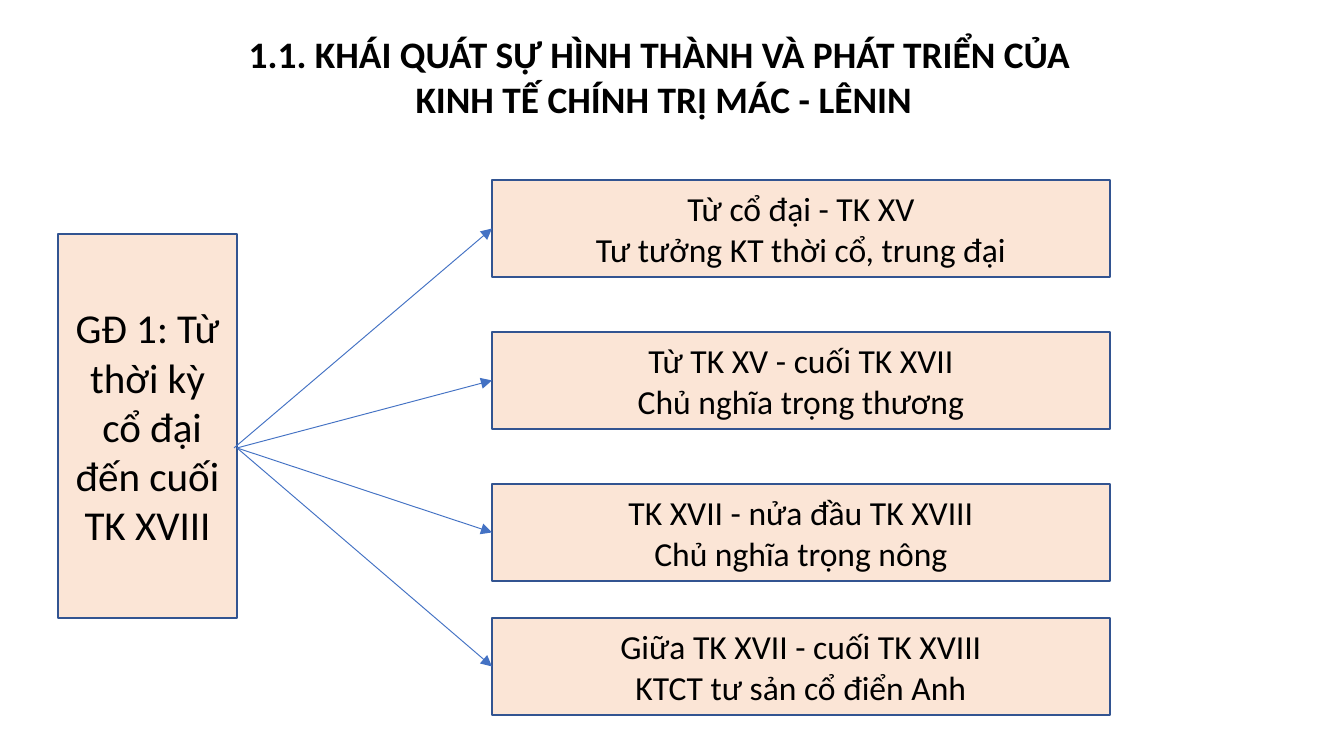
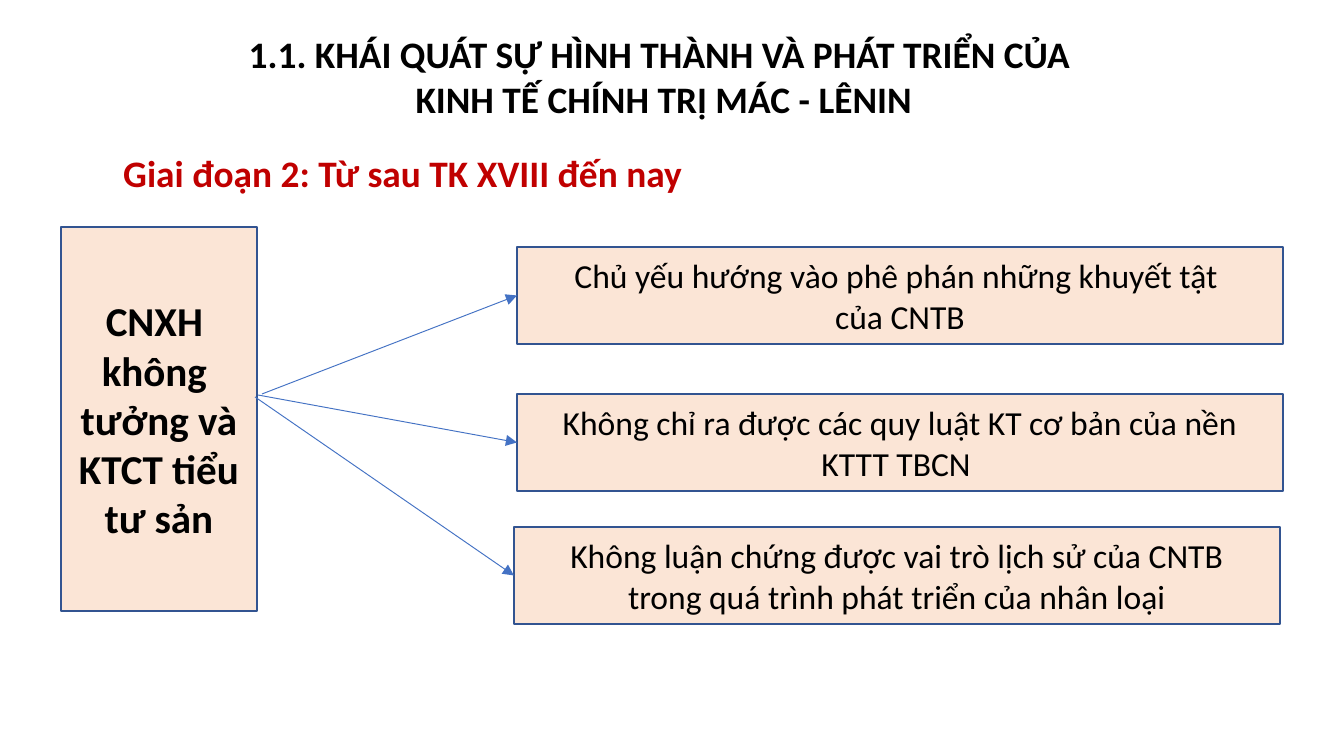
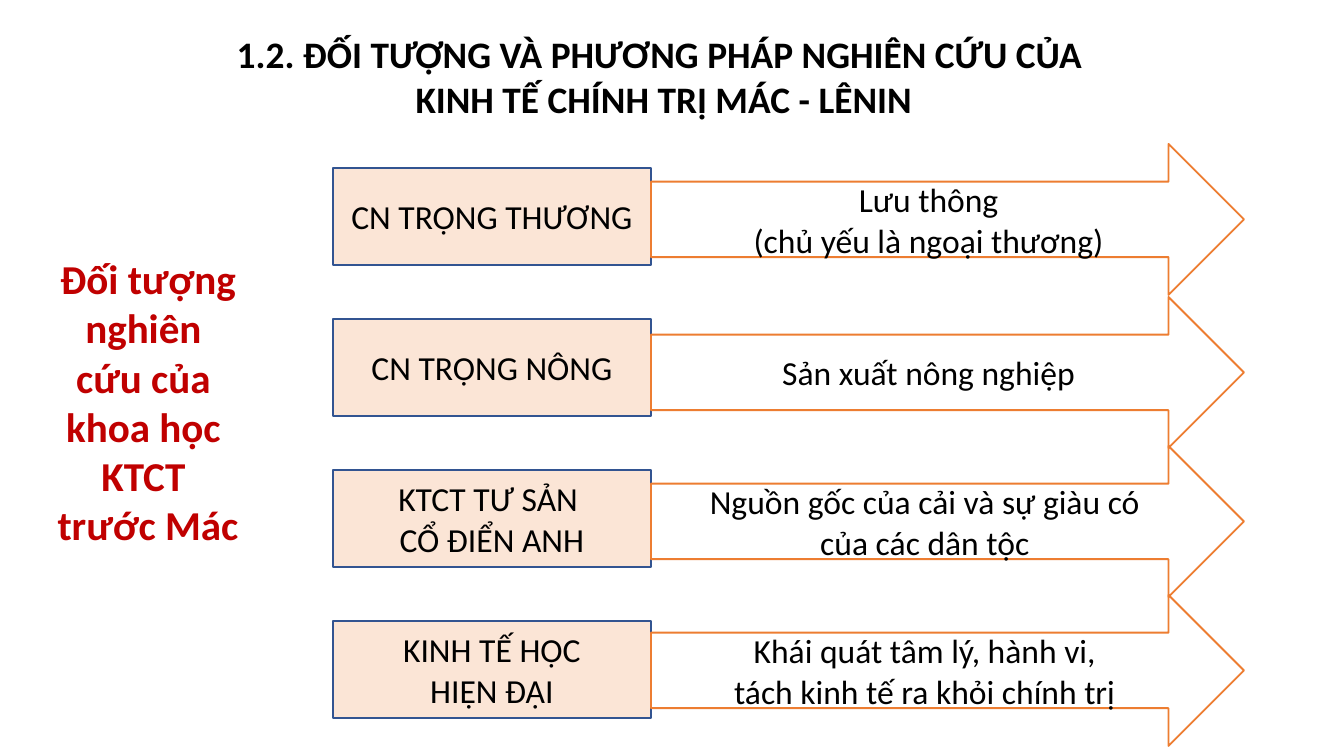
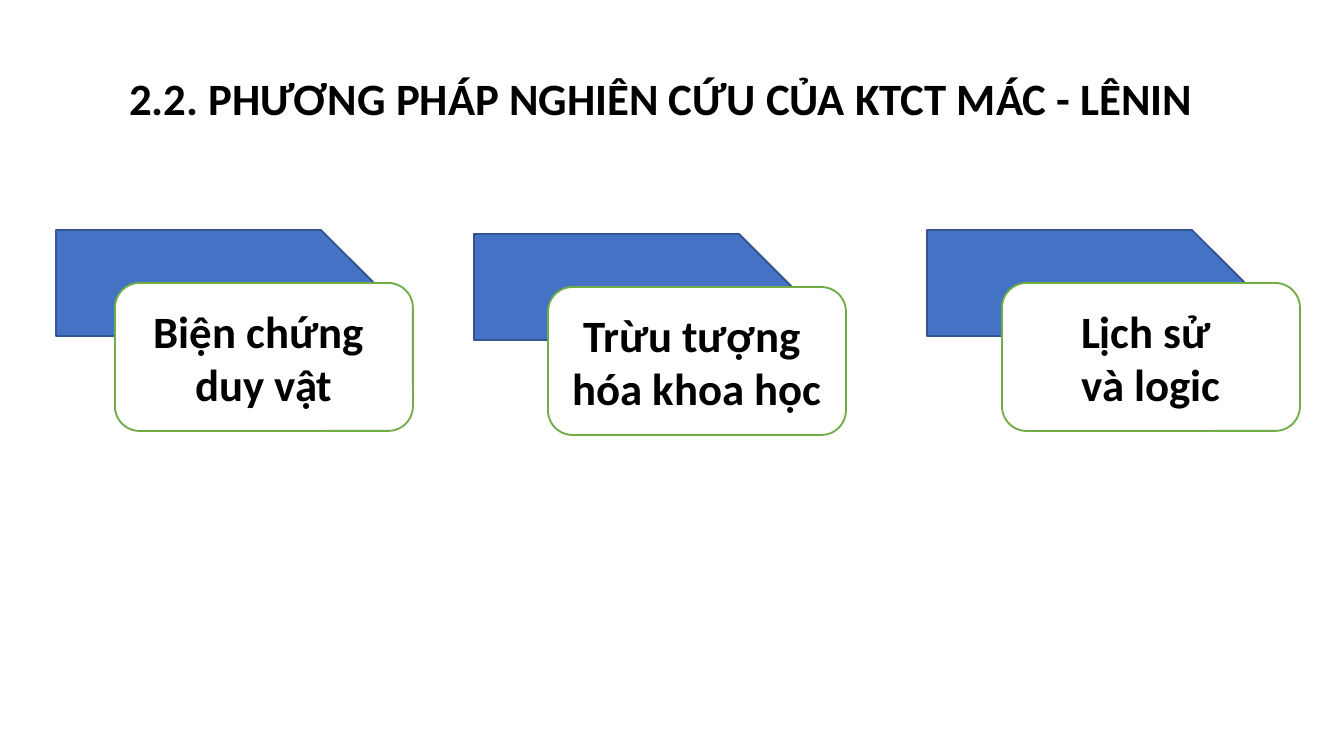
from lxml.etree import SubElement
from pptx import Presentation
from pptx.dml.color import RGBColor
from pptx.enum.shapes import MSO_CONNECTOR as CONN, MSO_SHAPE as SHAPE
from pptx.enum.text import MSO_ANCHOR as ANCHOR, PP_ALIGN as ALIGN
from pptx.oxml.ns import qn
from pptx.util import Emu, Pt

BLACK = RGBColor(0x00, 0x00, 0x00)
WHITE = RGBColor(0xFF, 0xFF, 0xFF)
RED = RGBColor(0xC0, 0x00, 0x00)
PEACH = RGBColor(0xFB, 0xE5, 0xD6)
NAVY = RGBColor(0x32, 0x54, 0x91)
BLUE = RGBColor(0x44, 0x72, 0xC4)
ORANGE = RGBColor(0xED, 0x7D, 0x31)
GREEN = RGBColor(0x70, 0xAD, 0x47)

FONT = "Calibri"
EMU_PER_PX = 914400 / 134.4
SUBJECT = "KINH TẾ CHÍNH TRỊ MÁC - LÊNIN"
OVERVIEW = "1.1. KHÁI QUÁT SỰ HÌNH THÀNH VÀ PHÁT TRIỂN CỦA "
TITLE_BOX = (148, 12, 1032, 128)
BOX_H = 97


def px(n):
    return Emu(round(n * EMU_PER_PX))


def write(sp, lines, size, color=BLACK, bold=False, align=ALIGN.CENTER,
          anchor=ANCHOR.MIDDLE, spacing=None):
    tf = sp.text_frame
    tf.word_wrap = True
    tf.vertical_anchor = anchor
    for i, line in enumerate(lines):
        p = tf.paragraphs[0] if i == 0 else tf.add_paragraph()
        p.alignment = align
        if spacing:
            p.line_spacing = spacing
        r = p.add_run()
        r.text = line
        r.font.name = FONT
        r.font.size = Pt(size)
        r.font.bold = bold
        r.font.color.rgb = color


def add_text(s, box, lines, size, **style):
    sp = s.shapes.add_textbox(*map(px, box))
    write(sp, lines, size, **style)


def add_shape(parent, kind, box, fill, line, lines=(), size=18, bold=False):
    sp = parent.shapes.add_shape(kind, *map(px, box))
    sp.shadow.inherit = False
    sp.fill.solid()
    sp.fill.fore_color.rgb = fill
    sp.line.color.rgb = line
    sp.line.width = Pt(1)
    if lines:
        write(sp, lines, size, bold=bold)
    return sp


def add_arrow(s, x, y, target):
    c = s.shapes.add_connector(CONN.STRAIGHT, px(x), px(y), target.left, target.top)
    c.end_connect(target, 1)
    c.line.color.rgb = BLUE
    c.line.width = Pt(0.5)
    SubElement(c.line._get_or_add_ln(), qn("a:tailEnd"), type="triangle")
    SubElement(c._element.spPr, qn("a:effectLst"))


def add_slide(prs, heading):
    s = prs.slides.add_slide(prs.slide_layouts[6])
    if heading:
        add_text(s, TITLE_BOX, [heading, SUBJECT], 20, bold=True)
    return s


def branch_diagram(s, origin, root, root_lines, bold, branch_w, branches):
    x, y = origin
    dy, w, h = root
    add_shape(s, SHAPE.RECTANGLE, (x, y + dy, w, h), PEACH, NAVY, root_lines, 22, bold)
    for left, top, start_x, start_y, lines in branches:
        box = (x + left, y + top, branch_w, BOX_H)
        branch = add_shape(s, SHAPE.RECTANGLE, box, PEACH, NAVY, lines)
        add_arrow(s, x + start_x, y + start_y, branch)


def school_row(s, x, y, arrow_dy, school, subject):
    g = s.shapes.add_group_shape()
    school_w = 318
    add_shape(g, SHAPE.RECTANGLE, (x, y, school_w, BOX_H), PEACH, NAVY, school)
    add_shape(g, SHAPE.RIGHT_ARROW, (x + school_w, y + arrow_dy, 593, 151),
              WHITE, ORANGE, subject)


def method_card(s, x, y, label_dx, lines):
    g = s.shapes.add_group_shape()
    add_shape(g, SHAPE.PENTAGON, (x, y, 318, 106), BLUE, NAVY)
    add_shape(g, SHAPE.ROUNDED_RECTANGLE, (x + label_dx, y + 53, 298, 148),
              WHITE, GREEN, lines, 24, True)


def stage_one(prs):
    s = add_slide(prs, OVERVIEW)
    branch_diagram(
        s, (58, 180), (54, 179, 384), ["GĐ 1: Từ thời kỳ", " cổ đại đến cuối TK XVIII"],
        False, 618, [
            (434, 0, 176, 268, ["Từ cổ đại - TK XV", "Tư tưởng KT thời cổ, trung đại"]),
            (434, 152, 179, 268, ["Từ TK XV - cuối TK XVII", "Chủ nghĩa trọng thương"]),
            (434, 304, 179, 268, ["TK XVII - nửa đầu TK XVIII", "Chủ nghĩa trọng nông"]),
            (434, 438, 179, 268, ["Giữa TK XVII - cuối TK XVIII",
                                  "KTCT tư sản cổ điển Anh"]),
        ])


def stage_two(prs):
    s = add_slide(prs, OVERVIEW)
    branch_diagram(
        s, (61, 227), (0, 196, 384), ["CNXH ", "không ", "tưởng và KTCT tiểu tư sản"],
        True, 766, [
            (456, 20, 201, 167, ["Chủ yếu hướng vào phê phán những khuyết tật ",
                                 "của CNTB"]),
            (456, 167, 197, 168, ["Không chỉ ra được các quy luật KT cơ bản "
                                  "của nền KTTT TBCN "]),
            (453, 300, 194, 170, ["Không luận chứng được vai trò lịch sử của CNTB",
                                  "trong quá trình phát triển của nhân loại"]),
        ])
    add_text(s, (110, 144, 813, 59), ["Giai đoạn 2: Từ sau TK XVIII đến nay"], 20,
             color=RED, bold=True, align=ALIGN.LEFT, anchor=ANCHOR.TOP)


def research_subjects(prs):
    s = add_slide(prs, "1.2. ĐỐI TƯỢNG VÀ PHƯƠNG PHÁP NGHIÊN CỨU CỦA ")
    add_text(s, (43, 247, 210, 312),
             ["Đối tượng ", "nghiên ", "cứu của ", "khoa học ", "KTCT ", "trước Mác"],
             22, color=RED, bold=True, anchor=ANCHOR.TOP)
    rows = [
        (-24, ["CN TRỌNG THƯƠNG"], ["Lưu thông", "(chủ yếu là ngoại thương)"]),
        (-22, ["CN TRỌNG NÔNG"], ["Sản xuất nông nghiệp"]),
        (-24, ["KTCT TƯ SẢN ", "CỔ ĐIỂN ANH"],
         ["Nguồn gốc của cải và sự giàu có ", "của các dân tộc "]),
        (-26, ["KINH TẾ HỌC", "HIỆN ĐẠI"],
         ["Khái quát tâm lý, hành vi, ", "tách kinh tế ra khỏi chính trị "]),
    ]
    for i, row in enumerate(rows):
        school_row(s, 333, 168 + 151 * i, *row)


def research_methods(prs):
    s = add_slide(prs, None)
    add_text(s, (116, 70, 1164, 66),
             ["2.2. PHƯƠNG PHÁP NGHIÊN CỨU CỦA KTCT MÁC - LÊNIN"], 24,
             bold=True, align=ALIGN.LEFT, anchor=ANCHOR.TOP, spacing=0.9)
    method_card(s, 56, 230, 59, ["Biện chứng ", "duy vật"])
    method_card(s, 474, 234, 74, ["Trừu tượng ", "hóa khoa học "])
    method_card(s, 927, 230, 75, ["Lịch sử ", "và logic"])


def main():
    prs = Presentation()
    prs.slide_width, prs.slide_height = px(1344), px(756)
    for build in (stage_one, stage_two, research_subjects, research_methods):
        build(prs)
    prs.save("out.pptx")


if __name__ == "__main__":
    main()
